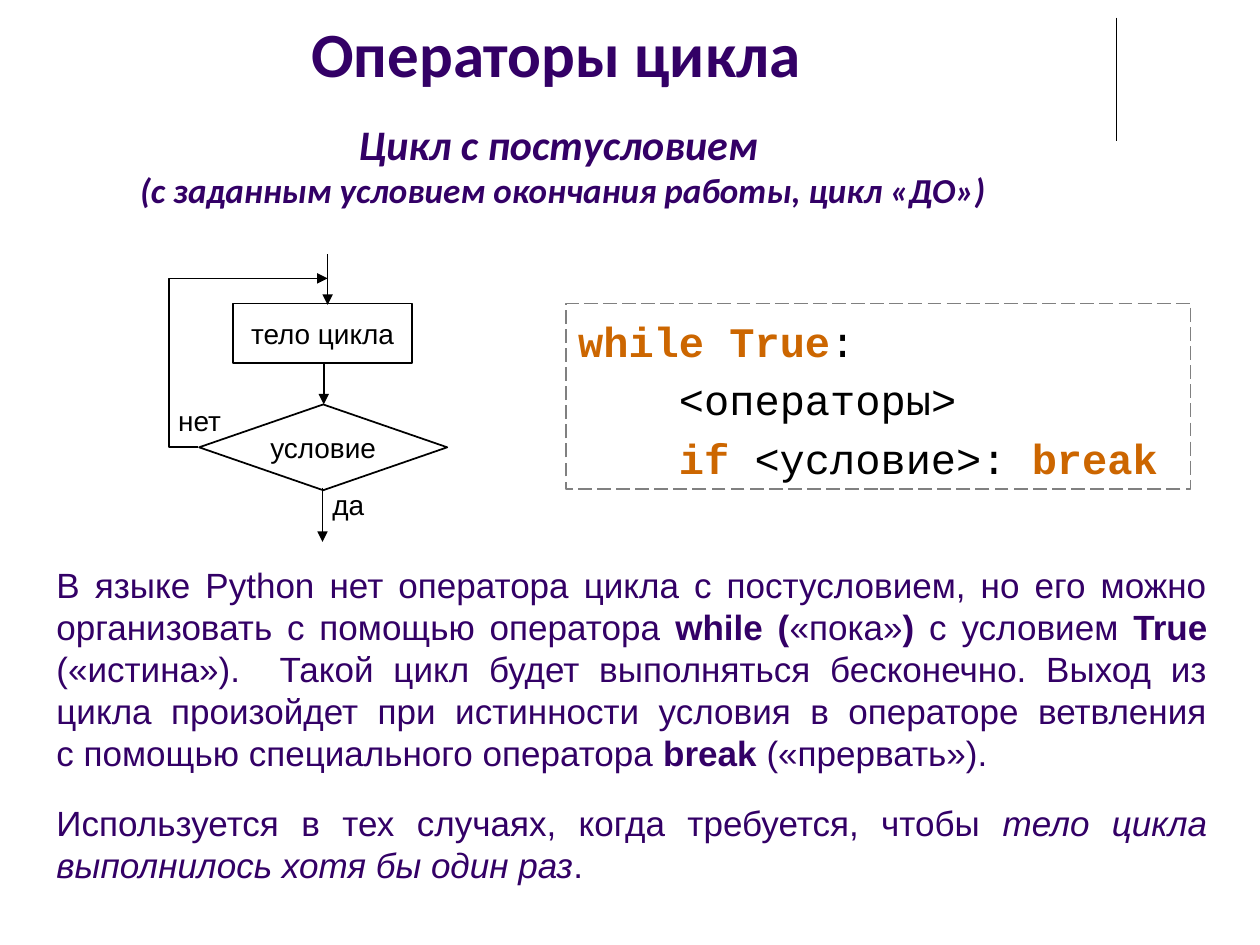
from lxml import etree
from pptx import Presentation
from pptx.dml.color import RGBColor
from pptx.enum import dml, shapes, text
from pptx.oxml.ns import qn
from pptx.util import Pt

PURPLE, ORANGE, BLACK, GRAY, WHITE = "330066", "CC6600", "000000", "808080", "FFFFFF"
KIND = shapes.MSO_SHAPE
ALIGN = text.PP_ALIGN


def color(value):
    return RGBColor.from_string(value)


def set_frame(sp, inset=(0, 0, 0, 0), anchor=text.MSO_ANCHOR.TOP):
    tf = sp.text_frame
    tf.word_wrap = True
    tf.vertical_anchor = anchor
    tf.margin_left, tf.margin_top, tf.margin_right, tf.margin_bottom = map(Pt, inset)
    return tf


def add_run(p, words, font, size, fill, bold=False, italic=False):
    r = p.add_run()
    r.text = words
    r.font.name, r.font.size = font, Pt(size)
    r.font.bold, r.font.italic = bold, italic
    r.font.color.rgb = color(fill)


def style_outline(sp, fill=None, line=BLACK):
    sp.shadow.inherit = False
    if fill:
        sp.fill.solid()
        sp.fill.fore_color.rgb = color(fill)
    else:
        sp.fill.background()
    sp.line.color.rgb = color(line)
    sp.line.width = Pt(1)


def add_arrowhead(line):
    etree.SubElement(line.line._get_or_add_ln(), qn("a:tailEnd"), type="triangle")


def add_line(parent, x1, y1, x2, y2, width=1, arrow=True):
    line = parent.add_connector(shapes.MSO_CONNECTOR.STRAIGHT, *map(Pt, (x1, y1, x2, y2)))
    line.line.color.rgb = color(BLACK)
    line.line.width = Pt(width)
    if arrow:
        add_arrowhead(line)
    etree.SubElement(line._element.spPr, qn("a:effectLst"))


def add_label(parent, words, box):
    sp = parent.add_textbox(*map(Pt, box))
    p = set_frame(sp).paragraphs[0]
    p.alignment = ALIGN.CENTER
    add_run(p, words, "Arial", 16, BLACK)


def add_block(parent, kind, words, box):
    sp = parent.add_shape(kind, *map(Pt, box))
    style_outline(sp, WHITE)
    p = set_frame(sp, anchor=text.MSO_ANCHOR.MIDDLE).paragraphs[0]
    p.alignment = ALIGN.CENTER
    add_run(p, words, "Arial", 16, BLACK)


def add_title(parent):
    sp = parent.add_textbox(Pt(8.6), Pt(0), Pt(626.4), Pt(136.8))
    tf = set_frame(sp, (7.2, 8.6, 7.2, 3.6))
    lines = [("Операторы цикла ", 36, False, 0),
             ("Цикл с постусловием ", 24, True, 16),
             ("(с заданным условием окончания работы, цикл «ДО»)", 20, True, 0)]
    for i, (words, size, italic, before) in enumerate(lines):
        p = tf.add_paragraph() if i else tf.paragraphs[0]
        p.alignment = ALIGN.CENTER
        p.space_before = Pt(before)
        add_run(p, words, "Calibri", size, PURPLE, True, italic)


def add_code(parent):
    sp = parent.add_shape(KIND.RECTANGLE, Pt(323.3), Pt(173.5), Pt(357.1), Pt(105.8))
    style_outline(sp, line=GRAY)
    sp.line.dash_style = dml.MSO_LINE.LONG_DASH
    tf = set_frame(sp, (7.2, 2, 0, 0))
    # Each line: indent, then pieces of (words, is keyword)
    lines = [(0, [("while True", True), (":", False)]),
             (57.6, [("<операторы>", False)]),
             (57.6, [("if", True), (" <условие>: ", False), ("break", True)])]
    for i, (indent, pieces) in enumerate(lines):
        p = tf.add_paragraph() if i else tf.paragraphs[0]
        p.alignment = ALIGN.LEFT
        p.line_spacing = Pt(33.5)
        p._p.get_or_add_pPr().set("marL", str(Pt(indent)))
        for words, keyword in pieces:
            add_run(p, words, "Courier New", 24, ORANGE if keyword else BLACK, keyword)


def add_body(parent, top, height, pieces):
    """Justified paragraph from (words, style) pieces; None is a line break."""
    sp = parent.add_textbox(Pt(25.2), Pt(top), Pt(671.8), Pt(height))
    p = set_frame(sp, (7.2, 3.6, 7.2, 3.6)).paragraphs[0]
    p.alignment = ALIGN.JUSTIFY
    p.line_spacing = Pt(24)
    for piece in pieces:
        if piece is None:
            p.add_line_break()
        else:
            words, style = piece
            add_run(p, words, "Arial", 20, PURPLE, style == "bold", style == "italic")


def add_flowchart(parent):
    group = parent.add_group_shape().shapes
    add_line(group, 185, 207.4, 185, 231.1)
    add_block(group, KIND.FLOWCHART_DECISION, "условие", (113.8, 231.1, 141.8, 49))
    add_block(group, KIND.RECTANGLE, "тело цикла", (133.2, 173.5, 102.2, 33.9))
    add_label(group, "да", (178.6, 278.6, 41, 23.8))
    add_label(group, "нет", (93.6, 230.4, 41, 23.8))
    add_line(group, 187.2, 145.4, 187.2, 174.2)
    loop = group.build_freeform(Pt(113), Pt(255.6))
    loop.add_line_segments([(Pt(x), Pt(y)) for x, y in
                            [(96.5, 255.6), (96.5, 159.1), (187.2, 159.1)]], close=False)
    sp = loop.convert_to_shape()
    style_outline(sp)
    add_arrowhead(sp)
    add_line(group, 184.3, 278.6, 184.3, 309.6)


def main():
    prs = Presentation()
    prs.slide_width, prs.slide_height = Pt(720), Pt(540)
    parent = prs.slides.add_slide(prs.slide_layouts[6]).shapes
    add_line(parent, 637.9, 10.1, 637.9, 80.6, 0.75, arrow=False)
    add_title(parent)
    add_body(parent, 318.2, 128.2, [
        ("В языке Python нет оператора цикла с постусловием, но его можно "
         "организовать с помощью оператора ", ""),
        ("while (", "bold"), ("«пока»", ""), (") ", "bold"), ("с условием ", ""),
        ("True", "bold"),
        (" («истина»).  Такой цикл будет выполняться бесконечно. Выход из цикла "
         "произойдет при истинности условия в операторе ветвления", ""),
        None,
        ("с помощью специального оператора ", ""), ("break ", "bold"),
        ("(«прервать»).", "")])
    add_code(parent)
    add_flowchart(parent)
    add_body(parent, 454.3, 55.4, [
        ("Используется в тех случаях, когда требуется, чтобы ", ""),
        ("тело цикла выполнилось хотя бы один раз", "italic"), (". ", "")])
    prs.save("out.pptx")


if __name__ == "__main__":
    main()
